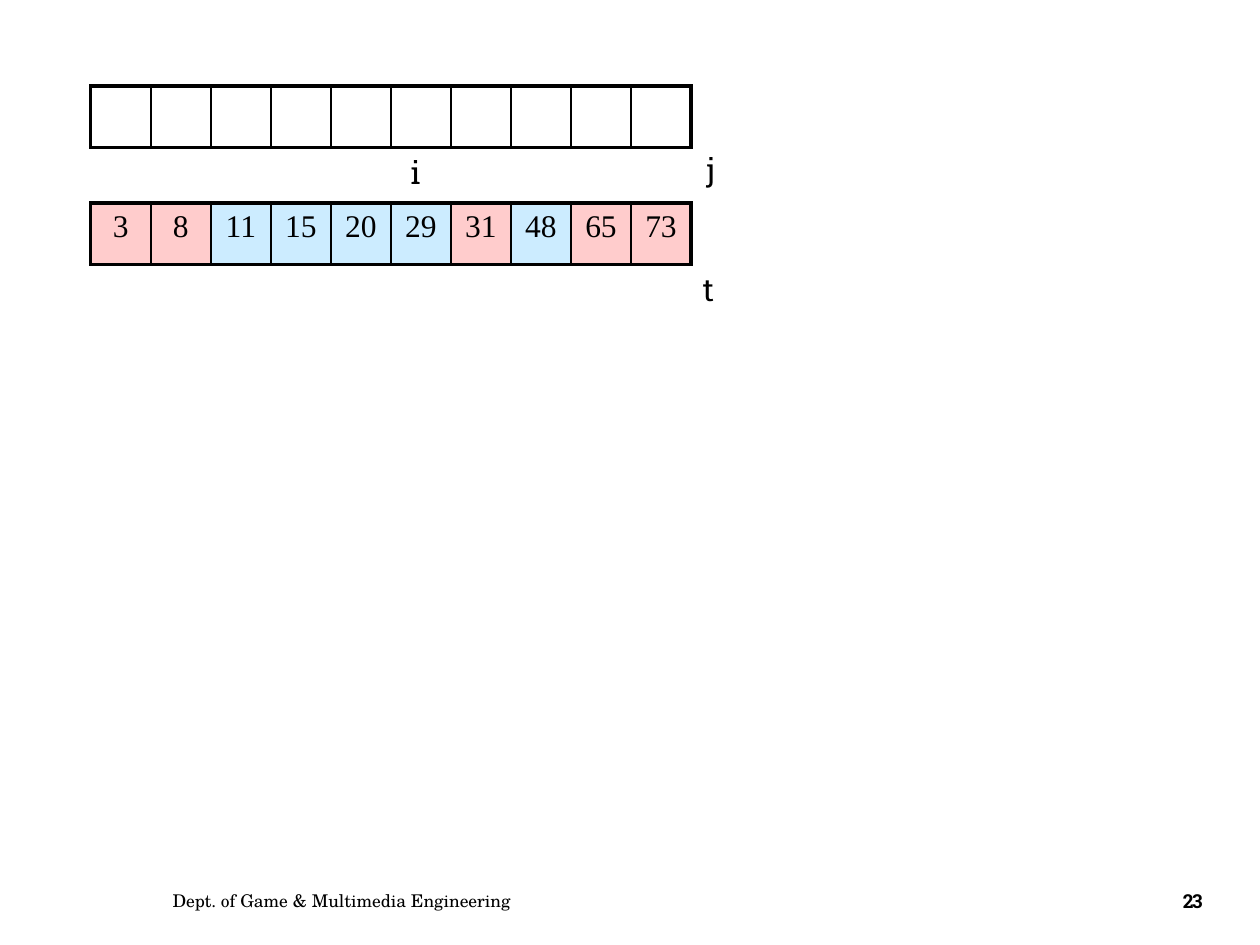
from dataclasses import dataclass
from typing import Optional

from lxml.etree import SubElement
from pptx import Presentation
from pptx.dml.color import RGBColor
from pptx.enum.text import MSO_ANCHOR, MSO_AUTO_SIZE, PP_ALIGN
from pptx.oxml.ns import qn
from pptx.util import Cm, Pt

BLACK = "000000"
PINK = "FFCCCC"
BLUE = "CCECFF"
SLAB = "Roboto Slab"
CELL_W, CELL_H = 1.21, 1.24
ARRAY_LEFT = 1.83
THIN, THICK = 1, 2.25


@dataclass
class Cell:
    text: str = ""
    fill: Optional[str] = None


@dataclass
class Label:
    text: str
    left: float
    top: float
    width: float
    font: str = SLAB
    size: float = 18
    bold: bool = False
    spacing: float = 0
    align: PP_ALIGN = PP_ALIGN.LEFT
    anchor: MSO_ANCHOR = MSO_ANCHOR.TOP
    wrap: bool = False


def rgb(color: str) -> RGBColor:
    return RGBColor.from_string(color)


def add_run(p, text: str, font: str, size: float, bold: bool = False):
    r = p.add_run()
    r.text = text
    r.font.name = font
    r.font.size = Pt(size)
    r.font.bold = bold
    r.font.color.rgb = rgb(BLACK)
    return r


def add_border(cell, side: str, width: float) -> None:
    tc_pr = cell._tc.get_or_add_tcPr()
    ln = SubElement(tc_pr, qn(f"a:ln{side}"), w=str(int(Pt(width))))
    fill = SubElement(ln, qn("a:solidFill"))
    SubElement(fill, qn("a:srgbClr"), val=BLACK)


def draw_array(s, top: float, cells: list[Cell]) -> None:
    count = len(cells)
    frame = s.shapes.add_table(1, count, Cm(ARRAY_LEFT), Cm(top),
                               Cm(CELL_W * count), Cm(CELL_H))
    table = frame.table
    table.first_row = False
    table.horz_banding = False
    for i, item in enumerate(cells):
        table.columns[i].width = Cm(CELL_W)
        cell = table.cell(0, i)
        add_border(cell, "L", THICK if i == 0 else THIN)
        add_border(cell, "R", THICK if i == count - 1 else THIN)
        add_border(cell, "T", THICK)
        add_border(cell, "B", THICK)
        if item.fill:
            cell.fill.solid()
            cell.fill.fore_color.rgb = rgb(item.fill)
        else:
            cell.fill.background()
        if item.text:
            p = cell.text_frame.paragraphs[0]
            p.alignment = PP_ALIGN.CENTER
            add_run(p, item.text, "Times New Roman", 18)


def draw_label(s, label: Label) -> None:
    sp = s.shapes.add_textbox(Cm(label.left), Cm(label.top), Cm(label.width), Cm(1.02))
    tf = sp.text_frame
    tf.word_wrap = label.wrap
    tf.auto_size = MSO_AUTO_SIZE.NONE if label.wrap else MSO_AUTO_SIZE.SHAPE_TO_FIT_TEXT
    tf.vertical_anchor = label.anchor
    p = tf.paragraphs[0]
    p.alignment = label.align
    r = add_run(p, label.text, label.font, label.size, label.bold)
    if label.spacing:
        r._r.get_or_add_rPr().set("spc", str(round(label.spacing * 100)))


def main() -> None:
    prs = Presentation()
    prs.slide_width, prs.slide_height = Cm(25.4), Cm(19.05)
    s = prs.slides.add_slide(prs.slide_layouts[6])

    values = [3, 8, 11, 15, 20, 29, 31, 48, 65, 73]
    from_second_half = {11, 15, 20, 29, 48}
    merged = [Cell(str(v), BLUE if v in from_second_half else PINK) for v in values]
    draw_array(s, 1.73, [Cell() for _ in values])
    draw_array(s, 4.09, merged)

    labels = [
        Label("i", 8.03, 2.97, 0.66),
        Label("j", 14, 2.9, 0.66),
        Label("t", 13.92, 5.31, 0.69),
        Label("Dept. of Game & Multimedia Engineering", 3.23, 17.65, 11.66,
              font="TeX Gyre Schola", size=10, anchor=MSO_ANCHOR.MIDDLE, wrap=True),
        Label("23", 23.37, 17.65, 1.35, size=11, bold=True, spacing=-0.7,
              align=PP_ALIGN.CENTER, anchor=MSO_ANCHOR.MIDDLE, wrap=True),
    ]
    for label in labels:
        draw_label(s, label)

    prs.save("out.pptx")


if __name__ == "__main__":
    main()
